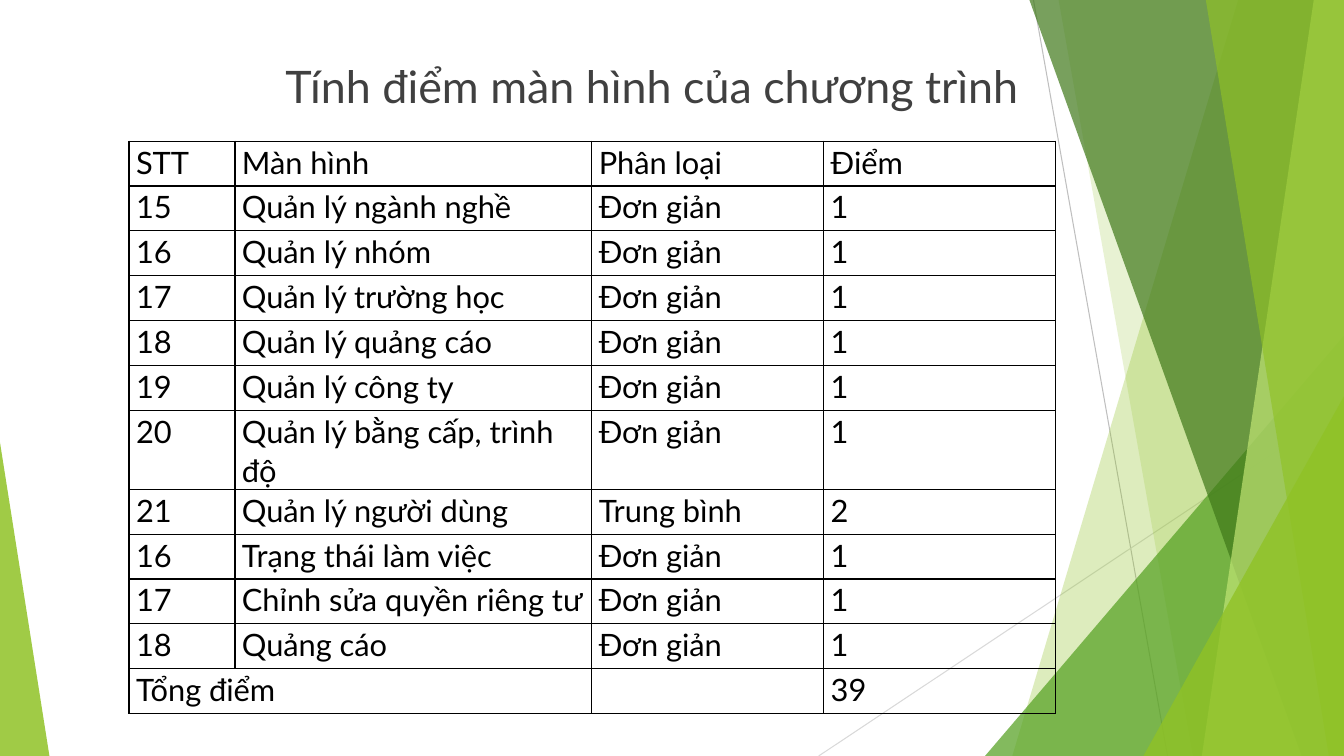
from pptx import Presentation
from pptx.dml.color import RGBColor
from pptx.enum.shapes import MSO_CONNECTOR, MSO_SHAPE
from pptx.enum.text import MSO_ANCHOR, PP_ALIGN
from pptx.oxml import parse_xml
from pptx.oxml.ns import nsdecls, qn
from pptx.util import Inches, Pt
from lxml import etree

STRAIGHT = MSO_CONNECTOR.STRAIGHT
TRIANGLE = MSO_SHAPE.ISOSCELES_TRIANGLE
TOP = MSO_ANCHOR.TOP
LEFT = PP_ALIGN.LEFT

WIDTH, HEIGHT = 13.33, 7.5
GREEN = "90C226"

RAYS = [("BFBFBF", (10.25, 0), (11.58, HEIGHT)),
        ("D9D9D9", (WIDTH, 4.03), (8.12, HEIGHT))]
BACK_BANDS = [(12.28, 10.04, GREEN, 30), (10.5, 11.83, GREEN, 20)]
FRONT_BANDS = [(10.21, 12.91, "3F7819", 70), (13.03, 11.92, "C0E474", 70),
               (11.96, 13.18, GREEN, 65)]

COLUMN_WIDTHS = [1.05, 3.54, 2.3, 2.3]
SIMPLE = "Đơn giản"
SCREENS = [
    ("STT", "Màn hình", "Phân loại", "Điểm"),
    ("15", "Quản lý ngành nghề", SIMPLE, "1"),
    ("16", "Quản lý nhóm", SIMPLE, "1"),
    ("17", "Quản lý trường học", SIMPLE, "1"),
    ("18", "Quản lý quảng cáo", SIMPLE, "1"),
    ("19", "Quản lý công ty", SIMPLE, "1"),
    ("20", "Quản lý bằng cấp, trình độ", SIMPLE, "1"),
    ("21", "Quản lý người dùng", "Trung bình", "2"),
    ("16", "Trạng thái làm việc", SIMPLE, "1"),
    ("17", "Chỉnh sửa quyền riêng tư", SIMPLE, "1"),
    ("18", "Quảng cáo", SIMPLE, "1"),
    ("Tổng điểm", "", "", "39"),
]


def color(value):
    """Turn a hex string into a colour."""
    return RGBColor.from_string(value)


def write(frame, text, size=22, font="Lato", ink="000000", spacing=None):
    """Put one formatted paragraph into a text frame."""
    frame.word_wrap = True
    paragraph = frame.paragraphs[0]
    paragraph.alignment = LEFT
    paragraph.space_before = Pt(0)
    paragraph.line_spacing = spacing
    run = paragraph.add_run()
    run.text = text
    run.font.size = Pt(size)
    run.font.name = font
    run.font.color.rgb = color(ink)


class SlideBuilder:
    """Hold the current slide and draw its elements in one style."""

    def __init__(self, slide):
        """Keep the slide to draw on."""
        self.slide = slide

    def title(self, text, left, top, width, height):
        """Place and format the title placeholder."""
        title = self.slide.shapes.title
        title.left, title.top = Inches(left), Inches(top)
        title.width, title.height = Inches(width), Inches(height)
        title.text_frame.vertical_anchor = TOP
        write(title.text_frame, text, size=32, ink="404040")

    def line(self, ink, start, end):
        """Draw a thin straight line."""
        points = [Inches(value) for value in start + end]
        line = self.slide.shapes.add_connector(STRAIGHT, *points)
        line.line.color.rgb = color(ink)
        line.line.width = Pt(0.75)
        etree.SubElement(line._element.spPr, qn("a:effectLst"))

    def paint(self, shape, ink, opacity):
        """Give a shape a translucent fill without outline or shadow."""
        shape.shadow.inherit = False
        shape.line.fill.background()
        shape.fill.solid()
        shape.fill.fore_color.rgb = color(ink)
        fill = shape._element.spPr.find(qn("a:solidFill"))
        etree.SubElement(fill[0], qn("a:alpha"), val=str(opacity * 1000))

    def band(self, top_x, bottom_x, ink, opacity):
        """Draw a full-height band reaching the right edge."""
        corners = [(top_x, 0), (WIDTH, 0), (WIDTH, HEIGHT), (bottom_x, HEIGHT)]
        points = [(Inches(x), Inches(y)) for x, y in corners]
        builder = self.slide.shapes.build_freeform(*points[0])
        builder.add_line_segments(points[1:], close=True)
        self.paint(builder.convert_to_shape(), ink, opacity)

    def triangle(self, left, width, height, apex, ink, opacity):
        """Draw a right triangle standing on the bottom edge."""
        shape = self.slide.shapes.add_shape(
            TRIANGLE, Inches(left), Inches(HEIGHT - height), Inches(width), Inches(height))
        shape.adjustments[0] = apex
        self.paint(shape, ink, opacity)

    def border(self, cell):
        """Draw a black line on every side of a cell."""
        properties = cell._tc.get_or_add_tcPr()
        for index, side in enumerate(("lnL", "lnR", "lnT", "lnB")):
            properties.insert(index, parse_xml(
                f'<a:{side} {nsdecls("a")} w="12700"><a:solidFill>'
                f'<a:srgbClr val="000000"/></a:solidFill></a:{side}>'))

    def table(self, rows, widths, left, top, height):
        """Draw a bordered table whose last row is a total."""
        table = self.slide.shapes.add_table(
            len(rows), len(widths), Inches(left), Inches(top),
            Inches(sum(widths)), Inches(height)).table
        table.first_row = table.horz_banding = False
        for column, width in zip(table.columns, widths):
            column.width = Inches(width)
        for row, texts in zip(table.rows, rows):
            for cell, text in zip(row.cells, texts):
                cell.margin_left = cell.margin_right = Inches(0.07)
                cell.margin_top = cell.margin_bottom = 0
                cell.fill.background()
                self.border(cell)
                if text:
                    write(cell.text_frame, text, spacing=1.07)
        total = len(rows) - 1
        table.cell(total, 0).merge(table.cell(total, 1))


def main():
    """Build the slide and save it."""
    presentation = Presentation()
    presentation.slide_width = Inches(WIDTH)
    presentation.slide_height = Inches(HEIGHT)
    slide = presentation.slides.add_slide(presentation.slide_layouts[5])
    builder = SlideBuilder(slide)
    for ray in RAYS:
        builder.line(*ray)
    for band in BACK_BANDS:
        builder.band(*band)
    builder.triangle(9.77, 3.56, 4.17, 1, "54A021", 72)
    for band in FRONT_BANDS:
        builder.band(*band)
    builder.triangle(11.34, 1.99, 3.57, 1, GREEN, 80)
    builder.triangle(0, 0.49, 3.11, 0, GREEN, 85)
    builder.table(SCREENS, COLUMN_WIDTHS, 1.28, 1.4, 5.34)
    builder.title("Tính điểm màn hình của chương trình", 2.73, 0.53, 7.74, 0.62)
    presentation.save("out.pptx")


if __name__ == "__main__":
    main()
